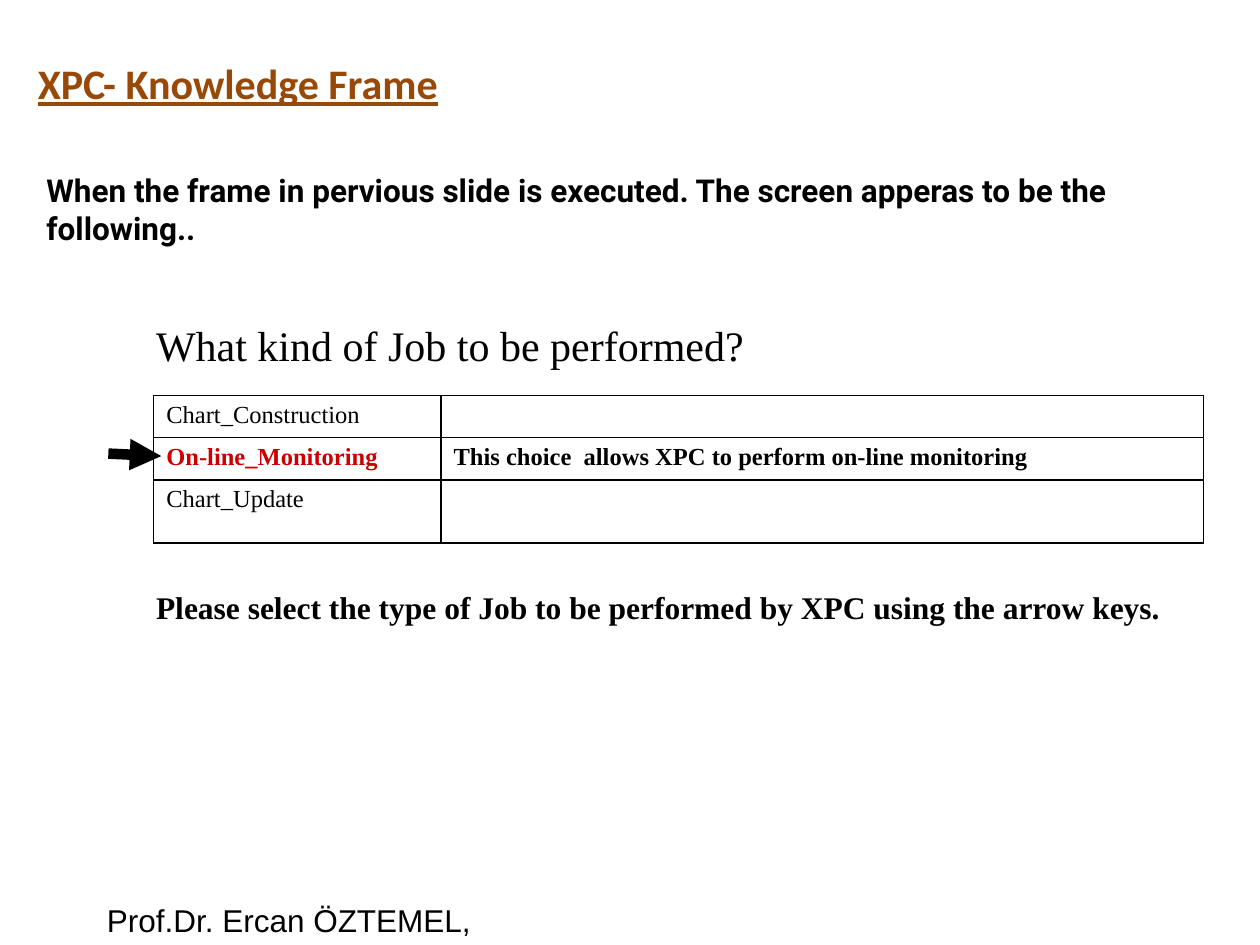
"""Builds the XPC knowledge frame slide."""
from lxml.etree import SubElement
from pptx import Presentation
from pptx.dml.color import RGBColor
from pptx.enum.shapes import MSO_CONNECTOR
from pptx.enum.text import MSO_ANCHOR, PP_ALIGN
from pptx.oxml.ns import qn
from pptx.util import Inches, Pt

COLORS = {"ink": "000000", "title": "984807", "choice": "CC0000"}
SERIF = "Times New Roman"
JOBS = [
    ("Chart_Construction", ""),
    ("On-line_Monitoring", "This choice  allows XPC to perform on-line monitoring"),
    ("Chart_Update", ""),
]
SELECTED_ROW = 1


class SlideBuilder:
    def __init__(self, slide):
        self.slide = slide

    def add_run(self, frame, text, size, font=SERIF, color="ink", bold=False, underline=False):
        paragraph = frame.paragraphs[0]
        paragraph.alignment = PP_ALIGN.LEFT
        if not text:
            SubElement(paragraph._p, qn("a:endParaRPr"), sz=str(size * 100))
            return
        run = paragraph.add_run()
        run.text = text
        run.font.name = font
        run.font.size = Pt(size)
        run.font.bold = bold
        run.font.underline = underline
        run.font.color.rgb = RGBColor.from_string(COLORS[color])

    def title(self, text, left, top, width, height):
        shape = self.slide.shapes.title
        shape.left, shape.top = Inches(left), Inches(top)
        shape.width, shape.height = Inches(width), Inches(height)
        shape.text_frame.vertical_anchor = MSO_ANCHOR.TOP
        self.add_run(shape.text_frame, text, 24, "Calibri", "title", bold=True, underline=True)

    def text(self, text, left, top, width, height, size=18, wrap=True, **style):
        shape = self.slide.shapes.add_textbox(
            Inches(left), Inches(top), Inches(width), Inches(height))
        shape.text_frame.word_wrap = wrap
        self.add_run(shape.text_frame, text, size, **style)

    def border(self, cell, width=1):
        properties = cell._tc.get_or_add_tcPr()
        for position, side in enumerate(("lnL", "lnR", "lnT", "lnB")):
            line = properties.makeelement(qn(f"a:{side}"), {"w": str(Pt(width))})
            fill = SubElement(line, qn("a:solidFill"))
            SubElement(fill, qn("a:srgbClr"), val=COLORS["ink"])
            properties.insert(position, line)

    def table(self, rows, left, top, widths, heights):
        table = self.slide.shapes.add_table(
            len(rows), len(widths), Inches(left), Inches(top),
            Inches(sum(widths)), Inches(sum(heights))).table
        table.first_row = table.horz_banding = False
        for column, width in zip(table.columns, widths):
            column.width = Inches(width)
        for row_index, (values, height) in enumerate(zip(rows, heights)):
            table.rows[row_index].height = Inches(height)
            selected = row_index == SELECTED_ROW
            for column_index, value in enumerate(values):
                cell = table.cell(row_index, column_index)
                cell.fill.background()
                color = "choice" if selected and column_index == 0 else "ink"
                self.add_run(cell.text_frame, value, 14, color=color, bold=selected)
                self.border(cell)

    def arrow(self, start_x, start_y, end_x, end_y, width):
        connector = self.slide.shapes.add_connector(
            MSO_CONNECTOR.STRAIGHT, Inches(start_x), Inches(start_y),
            Inches(end_x), Inches(end_y))
        connector.line.width = Pt(width)
        connector.line.color.rgb = RGBColor.from_string(COLORS["ink"])
        SubElement(connector.line._get_or_add_ln(), qn("a:tailEnd"), type="triangle")
        SubElement(connector._element.spPr, qn("a:effectLst"))


def main():
    presentation = Presentation()
    presentation.slide_width, presentation.slide_height = Inches(10), Inches(7.5)
    builder = SlideBuilder(presentation.slides.add_slide(presentation.slide_layouts[5]))
    builder.title("XPC- Knowledge Frame", 0.2, 0.41, 5.43, 0.51)
    builder.text("Prof.Dr. Ercan ÖZTEMEL,", 0.75, 7.1, 3.19, 0.4, wrap=False, font="Arial")
    builder.text(
        "When the frame in pervious slide is executed. "
        "The screen apperas to be the following..",
        0.27, 1.31, 8.85, 1.01, font="Roboto", bold=True)
    builder.text("What kind of Job to be performed?", 1.14, 2.49, 6.68, 0.91, size=24)
    builder.table(JOBS, 1.22, 3.14, (2.28, 6.05), (0.33, 0.33, 0.5))
    builder.text(
        "Please select the type of Job to be performed by XPC using the arrow keys.",
        1.14, 4.62, 8.22, 0.4, bold=True)
    builder.arrow(0.86, 3.6, 1.28, 3.62, 6)
    presentation.save("out.pptx")


if __name__ == "__main__":
    main()
